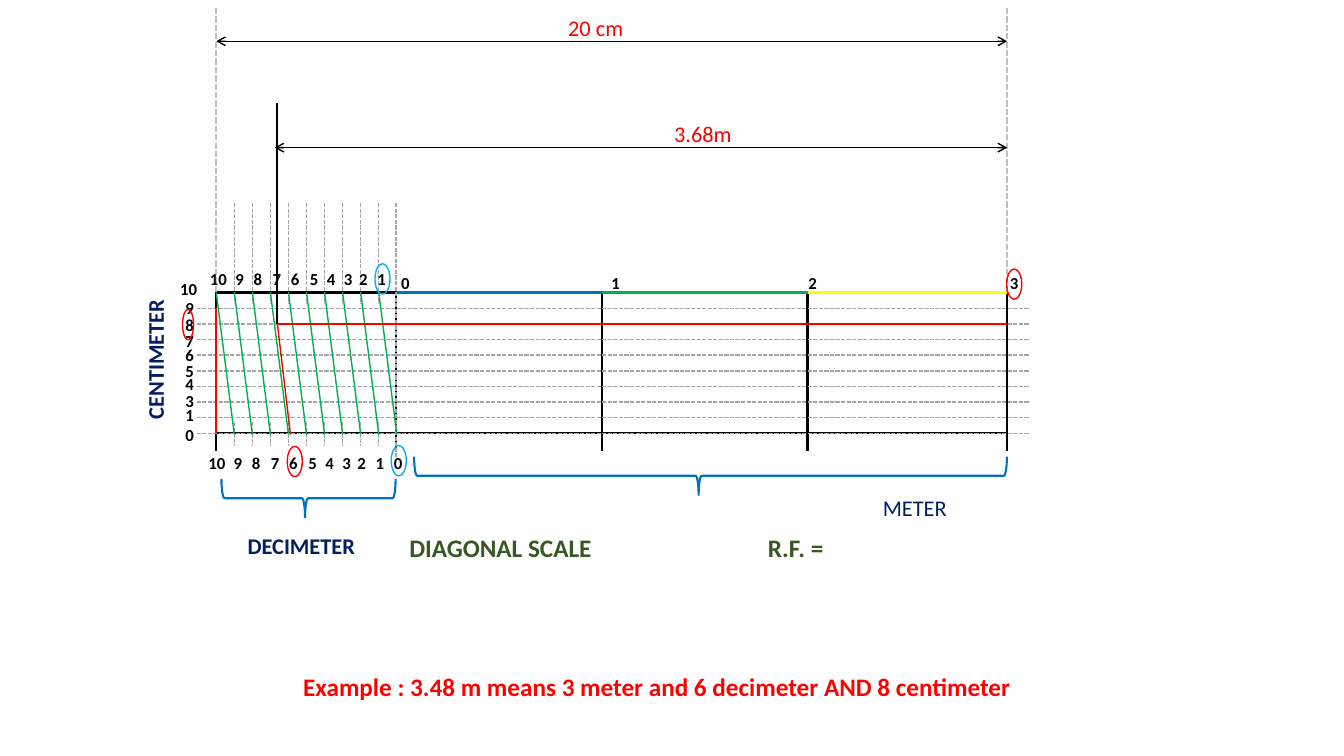
from dataclasses import dataclass

from lxml import etree
from pptx import Presentation
from pptx.dml.color import RGBColor
from pptx.enum.dml import MSO_LINE
from pptx.enum.shapes import MSO_CONNECTOR, MSO_SHAPE
from pptx.enum.text import MSO_ANCHOR, MSO_AUTO_SIZE, PP_ALIGN
from pptx.oxml.ns import qn
from pptx.shapes.base import BaseShape
from pptx.slide import Slide
from pptx.util import Cm, Pt

DASH = MSO_LINE.SQUARE_DOT
STRAIGHT = MSO_CONNECTOR.STRAIGHT
OVAL = MSO_SHAPE.OVAL
BRACE = MSO_SHAPE.RIGHT_BRACE
TOP = MSO_ANCHOR.TOP
LEFT = PP_ALIGN.LEFT
FIT = MSO_AUTO_SIZE.SHAPE_TO_FIT_TEXT


@dataclass(frozen=True)
class Theme:
    font: str = "Calibri"
    black: str = "000000"
    red: str = "FF0000"
    blue: str = "0070C0"
    sky: str = "00B0F0"
    green: str = "00B050"
    yellow: str = "FFFF00"
    navy: str = "002060"
    olive: str = "385723"
    gray: str = "A6A6A6"
    pale: str = "BFBFBF"
    small: int = 12
    mid: int = 16
    large: int = 18
    thin: float = 1
    thick: float = 1.5


T = Theme()


@dataclass(frozen=True)
class Line:
    x1: float
    y1: float
    x2: float
    y2: float
    color: str = T.black
    width: float = T.thick
    dash: bool = False
    arrows: bool = False


@dataclass(frozen=True)
class Label:
    text: str
    x: float
    y: float
    w: float = 0.74
    h: float = 0.75
    color: str = T.black
    size: int = T.small
    bold: bool = True
    wrap: bool = True
    turn: int = 0


@dataclass(frozen=True)
class Mark:
    kind: MSO_SHAPE
    x: float
    y: float
    w: float
    h: float
    color: str
    width: float = T.thin
    turn: int = 0


START, ZERO, ONE, TWO, END = 5.45, 9.98, 15.16, 20.35, 25.38
HIGH, LOW, FOOT = 7.37, 10.92, 11.37
STEP, ROW = 0.455, 0.394
READ_X, READ_Y = 6.99, 8.16
EDGE, FAR = 4.96, 25.92
COLS = [START + STEP * i for i in range(11)]
NAMES_X = (5.0, 5.64, 6.1, 6.58, 7.04, 7.52, 7.95, 8.38, 8.76, 9.22)
NAMES_Y = (10.57, 10.08, 9.73, 9.3, 8.97, 8.56, 8.2, 7.8, 7.37, 6.91)
ROW_NAMES = ("0", "1", "3", "4", "5", "6", "7", "8", "9", "10")

FRAME = [
    Line(START, HIGH, END, HIGH),
    Line(START, LOW, END, LOW),
    *[Line(x, HIGH, x, FOOT) for x in (START, ZERO, ONE, TWO, END)],
    Line(ZERO, HIGH, ONE, HIGH, T.blue),
    Line(ONE, HIGH, TWO, HIGH, T.green),
    Line(TWO, HIGH, END, HIGH, T.yellow),
    *[Line(x, 0.2, x, HIGH, T.pale, dash=True) for x in (START, END)],
    Line(START, 1.04, END, 1.04, width=T.thin, arrows=True),
]
TICKS = [
    Line(x, a, x, b, T.gray, T.thin, True)
    for x in COLS[1:10] for a, b in ((5.12, 7.65), (10.64, 11.25))
]
TICKS += [Line(ZERO, 5.12, ZERO, 11.61, T.gray, T.thin, True)]
ROWS = [
    Line(FAR, LOW - ROW * i, EDGE, LOW - ROW * i, T.gray, T.thin, True)
    for i in range(9)
]
SLANTS = [
    Line(a, HIGH, b, LOW + 0.03, T.green, T.thin)
    for a, b in zip(COLS, COLS[1:])
]
READING = [
    Line(START, LOW, START, 7.75, T.red),
    Line(COLS[4] + 0.05, LOW + 0.03, READ_X, READ_Y, T.red, T.thin),
    Line(READ_X, READ_Y, END, READ_Y, T.red, T.thin),
    Line(READ_X, 2.59, READ_X, READ_Y),
    Line(6.92, 3.72, END, 3.72, width=T.thin, arrows=True),
]

LABELS = [
    Label(str(10 - i), x + dx, y, 0.74 if i else 1.09)
    for dx, y in ((0, 11.28), (0.04, 6.65)) for i, x in enumerate(NAMES_X)
]
LABELS += [
    Label(name, 4.29 if name == "10" else 4.42, y, 1.09 if name == "10" else 0.74)
    for name, y in zip(ROW_NAMES, NAMES_Y)
]
LABELS += [
    Label(str(i), x, 6.76) for i, x in enumerate((9.86, 15.16, 20.12, 25.2))
]
LABELS += [
    Label("0", 9.68, 11.28),
    Label("20 cm", 14.07, 0.23, 2.06, 0.94, T.red, T.mid, False, False),
    Label("3.68m", 16.74, 2.9, 1.98, 0.94, T.red, T.mid, False, False),
    Label("METER", 22, 12.32, 3.56, 0.94, T.navy, T.mid, False),
    Label("DECIMETER", 5.99, 13.28, 3.56, 0.94, T.navy, T.mid),
    Label("CENTIMETER", 2.13, 8.56, 3.56, 0.94, T.navy, T.mid, turn=270),
    Label("Example : 3.48 m means 3 meter and 6 decimeter AND 8 centimeter",
          7.39, 16.79, 18.44, 1.02, T.red, T.large),
    Label("R.F. =", 19.1, 13.28, 4.29, 1.02, T.olive, T.large),
]
TITLE = Label("DIAGONAL SCALE", 10.06, 13.28, 9.07, 1.02, T.olive, T.large)

MARKS = [
    Mark(OVAL, 9.45, 6.65, 0.38, 0.76, T.sky),
    Mark(OVAL, 9.86, 11.23, 0.38, 0.76, T.sky),
    Mark(OVAL, 25.37, 6.78, 0.38, 0.76, T.red),
    Mark(OVAL, 7.24, 11.25, 0.38, 0.76, T.red),
    Mark(OVAL, 4.6, 7.8, 0.28, 0.76, T.red),
    Mark(BRACE, 17.42, 4.52, 0.97, 14.94, T.blue, T.thick, 90),
    Mark(BRACE, 7.29, 10.36, 0.97, 4.39, T.blue, T.thick, 90),
]


def draw_line(slide: Slide, item: Line) -> None:
    ends = [Cm(v) for v in (item.x1, item.y1, item.x2, item.y2)]
    link = slide.shapes.add_connector(STRAIGHT, *ends)
    link.line.color.rgb = RGBColor.from_string(item.color)
    link.line.width = Pt(item.width)
    if item.dash:
        link.line.dash_style = DASH
    if item.arrows:
        pen = link.line._get_or_add_ln()
        for tag in ("a:headEnd", "a:tailEnd"):
            etree.SubElement(pen, qn(tag), type="arrow")
    etree.SubElement(link._element.spPr, qn("a:effectLst"))


def draw_mark(slide: Slide, item: Mark) -> None:
    box = [Cm(v) for v in (item.x, item.y, item.w, item.h)]
    shape = slide.shapes.add_shape(item.kind, *box)
    shape.shadow.inherit = False
    shape.fill.background()
    shape.line.color.rgb = RGBColor.from_string(item.color)
    shape.line.width = Pt(item.width)
    shape.rotation = item.turn
    if item.kind == BRACE:
        shape.adjustments[0] = 0.08
        shape.adjustments[1] = 0.52


def set_text(shape: BaseShape, item: Label) -> None:
    shape.left, shape.top = Cm(item.x), Cm(item.y)
    shape.width, shape.height = Cm(item.w), Cm(item.h)
    shape.rotation = item.turn
    frame = shape.text_frame
    frame.text = item.text
    frame.word_wrap = item.wrap
    frame.auto_size = FIT
    frame.vertical_anchor = TOP
    para = frame.paragraphs[0]
    para.alignment = LEFT
    font = para.runs[0].font
    font.name, font.size, font.bold = T.font, Pt(item.size), item.bold
    font.color.rgb = RGBColor.from_string(item.color)


def main() -> None:
    deck = Presentation()
    deck.slide_width, deck.slide_height = Cm(33.87), Cm(19.05)
    slide = deck.slides.add_slide(deck.slide_layouts[5])
    set_text(slide.shapes.title, TITLE)
    for line in FRAME + TICKS + ROWS + SLANTS + READING:
        draw_line(slide, line)
    for label in LABELS:
        set_text(slide.shapes.add_textbox(0, 0, 0, 0), label)
    for mark in MARKS:
        draw_mark(slide, mark)
    deck.save("out.pptx")


if __name__ == "__main__":
    main()
